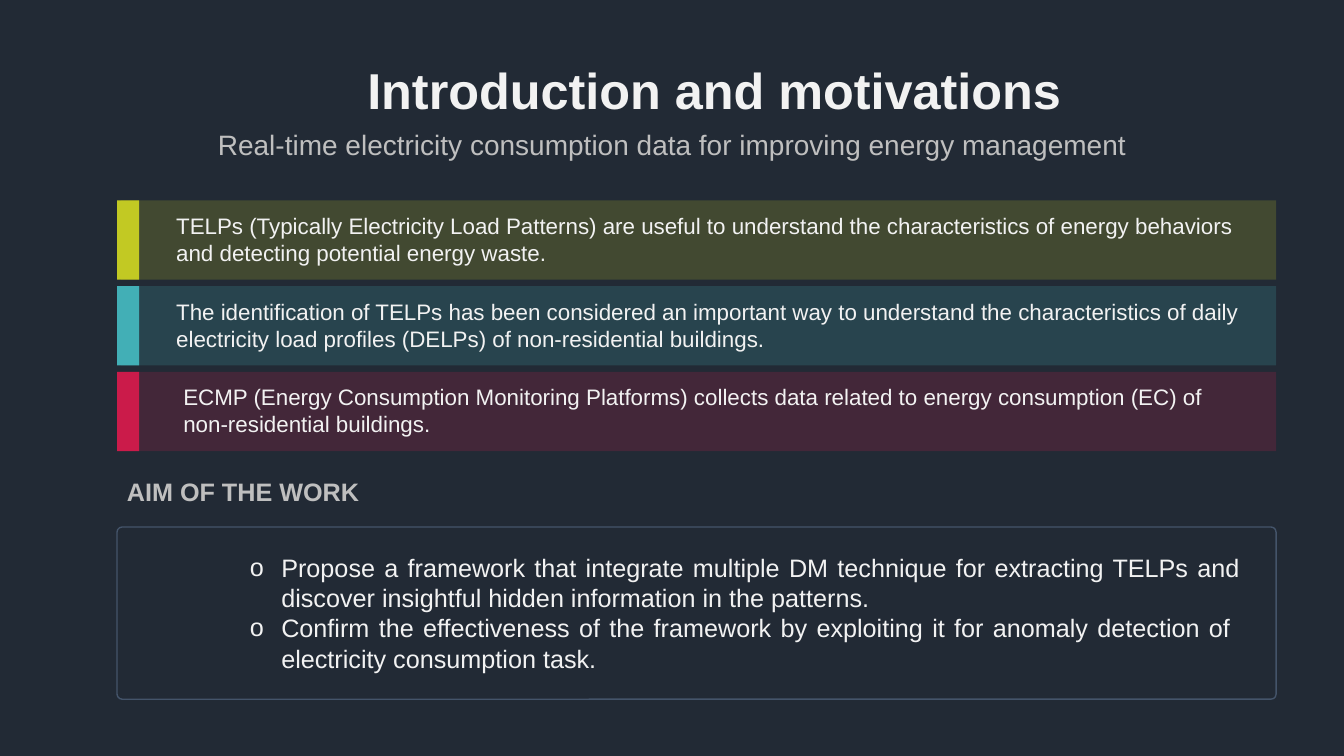
"""Build the slide on the introduction and motivations of an energy study."""
from dataclasses import dataclass

from lxml import etree
from pptx import Presentation
from pptx.dml.color import RGBColor
from pptx.enum.shapes import MSO_SHAPE
from pptx.enum.text import MSO_ANCHOR, MSO_AUTO_SIZE, PP_ALIGN
from pptx.oxml.ns import qn
from pptx.util import Cm, Pt

RECTANGLE = MSO_SHAPE.RECTANGLE
ROUNDED = MSO_SHAPE.ROUNDED_RECTANGLE
LEFT, CENTER, JUSTIFY = PP_ALIGN.LEFT, PP_ALIGN.CENTER, PP_ALIGN.JUSTIFY
MIDDLE = MSO_ANCHOR.MIDDLE
GROW = MSO_AUTO_SIZE.SHAPE_TO_FIT_TEXT
TITLE_ONLY = 5


@dataclass(frozen=True)
class Theme:
    """Colours, font and type sizes of the slide."""
    font: str = "Arial"
    background: str = "222A35"
    text: str = "F2F2F2"
    muted: str = "BFBFBF"
    border: str = "44546A"
    lime: str = "C2C923"
    teal: str = "42AFB6"
    crimson: str = "CB1B4A"
    title_size: int = 36
    subtitle_size: int = 20
    aim_size: int = 18
    band_size: int = 16
    panel_opacity: int = 20


THEME = Theme()

CONTENT_LEFT, CONTENT_RIGHT = 2.95, 32.16
BAND_TOP, BAND_PITCH, BAND_HEIGHT = 5.05, 2.16, 2.0
BAR_WIDTH = 0.56

BANDS = [
    (THEME.lime, 3.05, 4.19, "TELPs (Typically Electricity Load Patterns) are useful to understand "
     "the characteristics of energy behaviors and detecting potential energy waste."),
    (THEME.teal, 3.05, 4.19, "The identification of TELPs has been considered an important way to "
     "understand the characteristics of daily electricity load profiles (DELPs) of "
     "non-residential buildings."),
    (THEME.crimson, CONTENT_LEFT, 4.37, "ECMP (Energy Consumption Monitoring Platforms) collects data "
     "related to energy consumption (EC) of non-residential buildings."),
]
AIMS = [
    "Propose a framework that integrate multiple DM technique for extracting TELPs and discover "
    "insightful hidden information in the patterns.",
    "Confirm the effectiveness of the framework by exploiting it for anomaly detection of  "
    "electricity consumption task.",
]


def place(shape, left, top, width, height):
    """Move and size a shape, in centimetres."""
    shape.left, shape.top = Cm(left), Cm(top)
    shape.width, shape.height = Cm(width), Cm(height)


def format_text(text_frame, size, color, bold=False, align=LEFT, spacing=None):
    """Format every paragraph and run of a text frame."""
    text_frame.word_wrap = True
    for paragraph in text_frame.paragraphs:
        paragraph.alignment = align
        paragraph.line_spacing = spacing
        for run in paragraph.runs:
            run.font.name = THEME.font
            run.font.size = Pt(size)
            run.font.bold = bold
            run.font.color.rgb = RGBColor.from_string(color)


def add_text(slide, box, text, size, color, **style):
    """Add a wrapped text box and return its text frame."""
    text_frame = slide.shapes.add_textbox(*map(Cm, box)).text_frame
    text_frame.text = text
    format_text(text_frame, size, color, **style)
    return text_frame


def add_block(slide, kind, box, fill=None, opacity=100, line=None, rounding=0):
    """Add a rectangle with an optional fill, opacity, outline and rounding."""
    shape = slide.shapes.add_shape(kind, *map(Cm, box))
    shape.shadow.inherit = False
    if kind == ROUNDED:
        shape.adjustments[0] = rounding
    if fill:
        shape.fill.solid()
        shape.fill.fore_color.rgb = RGBColor.from_string(fill)
        if opacity < 100:
            color = shape.fill._xPr.find(".//" + qn("a:srgbClr"))
            etree.SubElement(color, qn("a:alpha"), val=str(opacity * 1000))
    else:
        shape.fill.background()
    if line:
        shape.line.color.rgb = RGBColor.from_string(line)
        shape.line.width = Pt(1)
    else:
        shape.line.fill.background()


def add_bullet(paragraph, character, color, indent):
    """Give a paragraph a coloured bullet with a hanging indent."""
    properties = paragraph._p.get_or_add_pPr()
    properties.set("marL", str(Cm(indent)))
    properties.set("indent", str(-Cm(indent)))
    bullet_color = etree.SubElement(properties, qn("a:buClr"))
    etree.SubElement(bullet_color, qn("a:srgbClr"), val=color)
    etree.SubElement(properties, qn("a:buFont"), typeface=THEME.font)
    etree.SubElement(properties, qn("a:buChar"), char=character)


def add_title(slide):
    """Fill the title placeholder and add the subtitle."""
    title = slide.shapes.title
    place(title, 3.4, 0.51, 29.21, 3.68)
    title.text_frame.text = "Introduction and motivations"
    title.text_frame.vertical_anchor = MIDDLE
    format_text(title.text_frame, THEME.title_size, THEME.text, bold=True, align=CENTER, spacing=0.9)
    add_text(slide, (2.34, 3.18, 29.21, 1.02),
             "Real-time electricity consumption data for improving energy management",
             THEME.subtitle_size, THEME.muted, align=CENTER, spacing=0.9)


def add_band(slide, top, color, panel_left, text_left, text):
    """Add one tinted panel with its accent bar and statement."""
    add_block(slide, ROUNDED, (panel_left, top, CONTENT_RIGHT - panel_left, BAND_HEIGHT),
              color, THEME.panel_opacity)
    add_block(slide, RECTANGLE, (CONTENT_LEFT, top, BAR_WIDTH, BAND_HEIGHT), color)
    text_frame = add_text(slide, (text_left, top + 0.17, 27.33, 1.63), text,
                          THEME.band_size, THEME.text)
    text_frame.auto_size = GROW


def add_aims(slide):
    """Add the heading and the framed list of aims."""
    heading = add_text(slide, (CONTENT_LEFT, 11.89, 26.37, 1.02), "AIM OF THE WORK",
                       THEME.aim_size, THEME.muted, bold=True)
    heading.auto_size = GROW
    add_block(slide, ROUNDED, (CONTENT_LEFT, 13.28, CONTENT_RIGHT - CONTENT_LEFT, 4.34),
              line=THEME.border, rounding=0.03)
    aims = add_text(slide, (6.05, 13.79, 25.45, 3.33), "\n".join(AIMS),
                    THEME.aim_size, THEME.text, align=JUSTIFY)
    aims.auto_size = GROW
    for paragraph in aims.paragraphs:
        add_bullet(paragraph, "o", THEME.text, 0.79)


def main():
    """Build and save the presentation."""
    presentation = Presentation()
    presentation.slide_width, presentation.slide_height = Cm(33.87), Cm(19.05)
    slide = presentation.slides.add_slide(presentation.slide_layouts[TITLE_ONLY])
    slide.background.fill.solid()
    slide.background.fill.fore_color.rgb = RGBColor.from_string(THEME.background)
    add_title(slide)
    for index, band in enumerate(BANDS):
        add_band(slide, BAND_TOP + index * BAND_PITCH, *band)
    add_aims(slide)
    presentation.save("out.pptx")


if __name__ == "__main__":
    main()
